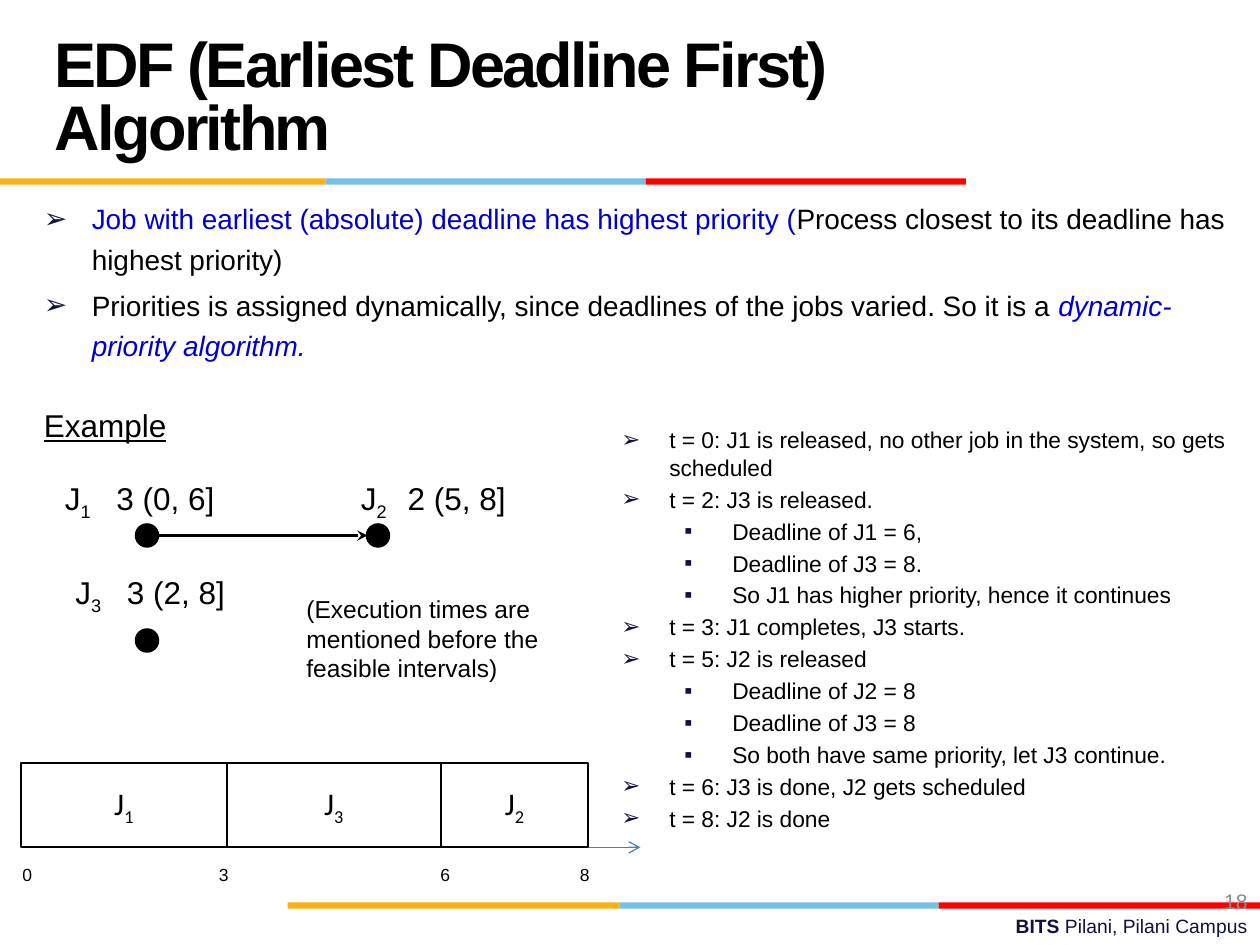
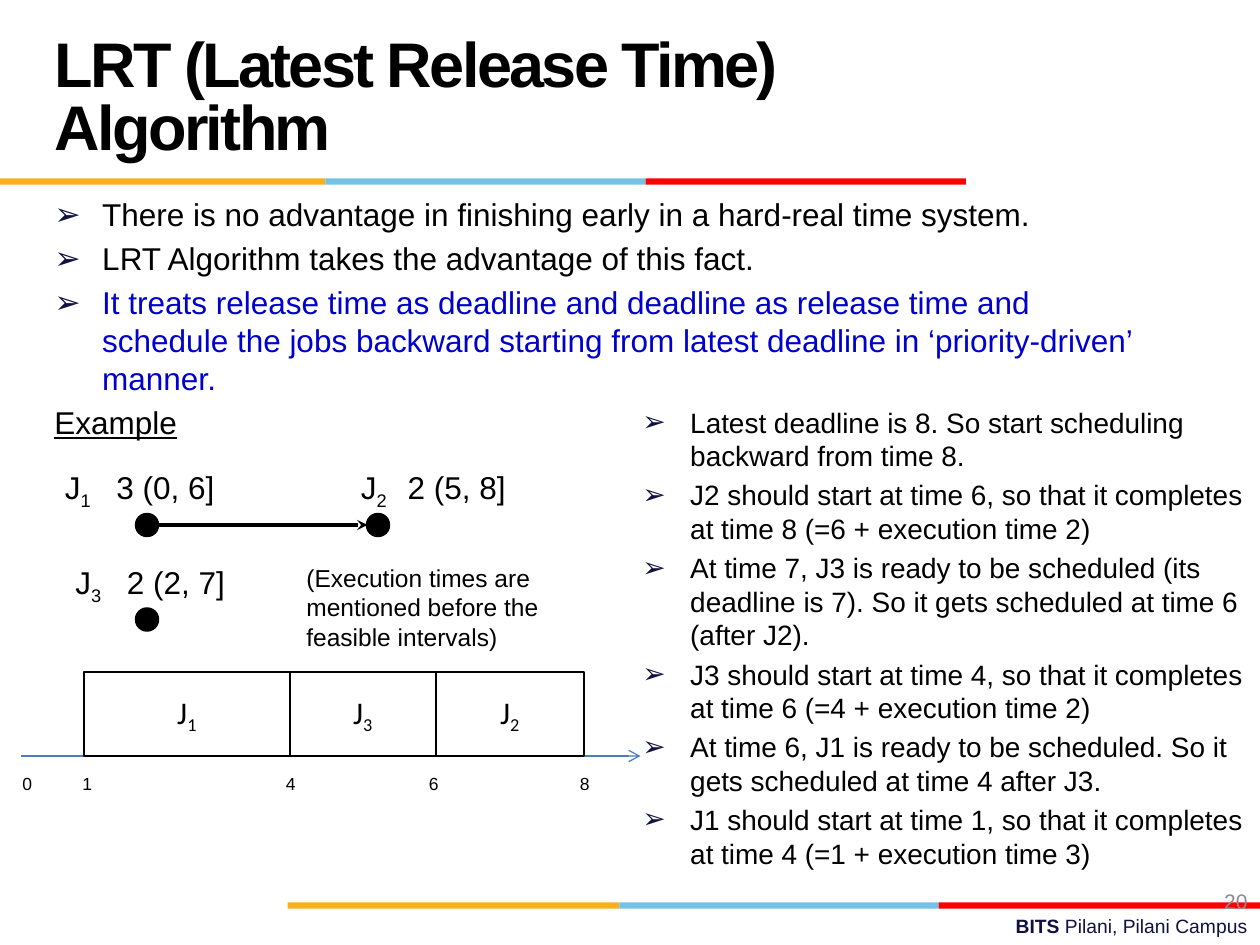
from lxml import etree
from pptx import Presentation
from pptx import util as u
from pptx.dml.color import RGBColor
from pptx.enum import shapes, text
from pptx.oxml.ns import qn


class Theme:
    black, blue, navy, grey = "000000", "0000CC", "101141", "8C8C8C"
    axis, bands = "4B7EBC", ("FCB017", "76C2E5", "FF0000")
    font, chart_font = "Arial", "Calibri"
    title, job, note, page, foot, mark = 36, 18, 14, 12, 11, 10


deck = Presentation()
deck.slide_width, deck.slide_height = u.Inches(10), u.Inches(7.5)
COL, ROW = deck.slide_width / 120, deck.slide_height / 90
HANG, STEP = u.Inches(0.38), u.Inches(0.5)
LEFT, MID, RIGHT = text.PP_ALIGN.LEFT, text.PP_ALIGN.CENTER, text.PP_ALIGN.RIGHT
OVAL, RECT = shapes.MSO_SHAPE.OVAL, shapes.MSO_SHAPE.RECTANGLE
SUB = {"sub": True}
BLUE = {"color": Theme.blue}


def write(shape, paras, size, color=Theme.black, font=Theme.font, align=LEFT,
          middle=False, wrap=True, lead=None, gap=0, tab=None, track=None):
    frame = shape.text_frame
    frame.word_wrap = wrap
    frame.auto_size = text.MSO_AUTO_SIZE.NONE
    frame.vertical_anchor = text.MSO_ANCHOR.MIDDLE if middle else text.MSO_ANCHOR.TOP
    for i, (level, runs, *extra) in enumerate(paras):
        para = frame.paragraphs[0] if i == 0 else frame.add_paragraph()
        para.alignment = align
        para.space_before = u.Pt(extra[0] if extra else gap * size if i else 0)
        if lead and level != "plain":
            para.line_spacing = lead
        props = para._p.get_or_add_pPr()
        if level in (0, 1):
            props.set("marL", str(HANG + level * STEP))
            props.set("indent", str(-HANG))
            tint = etree.SubElement(props, qn("a:buClr"))
            etree.SubElement(tint, qn("a:srgbClr"), val=Theme.navy)
            etree.SubElement(props, qn("a:buFont"), typeface=Theme.font)
            etree.SubElement(props, qn("a:buChar"), char="➢▪"[level])
        if tab:
            tabs = etree.SubElement(props, qn("a:tabLst"))
            etree.SubElement(tabs, qn("a:tab"), pos=str(u.Inches(tab)), algn="l")
        for words, look in [(runs, {})] if isinstance(runs, str) else runs:
            run = para.add_run()
            run.text = words
            run.font.name = font
            run.font.size = u.Pt(look.get("size", size))
            run.font.color.rgb = RGBColor.from_string(look.get("color", color))
            run.font.bold = look.get("bold", False)
            run.font.italic = look.get("italic", False)
            run.font.underline = look.get("under", False)
            if look.get("sub"):
                run._r.get_or_add_rPr().set("baseline", "-25000")
            if track:
                run._r.get_or_add_rPr().set("spc", str(track))


def put(slide, x, y, w, h, kind=None, fill=None, line=None, width=1):
    box = [round(n) for n in (x * COL, y * ROW, w * COL, h * ROW)]
    if kind is None:
        return slide.shapes.add_textbox(*box)
    shape = slide.shapes.add_shape(kind, *box)
    shape.shadow.inherit = False
    if fill:
        shape.fill.solid()
        shape.fill.fore_color.rgb = RGBColor.from_string(fill)
    else:
        shape.fill.background()
    if line:
        shape.line.color.rgb = RGBColor.from_string(line)
        shape.line.width = u.Pt(width)
    else:
        shape.line.fill.background()
    return shape


pages = [
    dict(
        title="EDF (Earliest Deadline First) Algorithm", page="18",
        body=(3, 18, 117, 22), size=16, lead=1.2,
        points=[
            (0, [("Job with earliest (absolute) deadline has highest priority (", BLUE),
                 ("Process closest to its deadline has highest priority)", {})]),
            (0, [("Priorities is assigned dynamically, since deadlines of the jobs varied. "
                  "So it is a ", {}),
                 ("dynamic-priority algorithm.", {"color": Theme.blue, "italic": True})]),
            ("plain", [("Example", {"size": 18, "under": True})], 25)],
        link=51, dot=60, jobs=(45, 54), third="3 (2, 8]", hint=56,
        chart=72.7, edges=(2, 21.6, 42, 56),
        marks=[("0", 2.6), ("3", 21.3), ("6", 42.4), ("8", 55.7)],
        steps=(58, 40, 62, 44), small=13,
        trace=[
            (0, "t = 0: J1 is released, no other job in the system, so gets scheduled"),
            (0, "t = 2: J3 is released."),
            (1, "Deadline of J1 = 6,"),
            (1, "Deadline of J3 = 8."),
            (1, "So J1 has higher priority, hence it continues"),
            (0, "t = 3: J1 completes, J3 starts."),
            (0, "t = 5: J2 is released"),
            (1, "Deadline of J2 = 8"),
            (1, "Deadline of J3 = 8"),
            (1, "So both have same priority, let J3 continue."),
            (0, "t = 6: J3 is done, J2 gets scheduled"),
            (0, "t = 8: J2 is done")]),
    dict(
        title="LRT (Latest Release Time) Algorithm", page="20",
        body=(4, 18, 108, 22), size=18, lead=None,
        points=[
            (0, "There is no advantage in finishing early in a hard-real time system."),
            (0, "LRT Algorithm takes the advantage of this fact."),
            (0, [("It treats release time as deadline and deadline as release time and "
                  "schedule the jobs backward starting from latest deadline in "
                  "‘priority-driven’ manner.", BLUE)]),
            ("plain", [("Example", {"under": True})])],
        link=50, dot=58, jobs=(44, 53), third="2 (2, 7]", hint=53,
        chart=64, edges=(8, 27.6, 41.5, 55.6),
        marks=[("0", 2.6), ("1", 8.3), ("4", 27.7), ("6", 41.3), ("8", 55.7)],
        steps=(60, 38, 60, 44), small=16,
        trace=[
            (0, "Latest deadline is 8. So start scheduling backward from time 8."),
            (0, "J2 should start at time 6, so that it completes at time 8 "
                "(=6 + execution time 2)"),
            (0, "At time 7, J3 is ready to be scheduled (its deadline is 7). "
                "So it gets scheduled at time 6 (after J2)."),
            (0, "J3 should start at time 4, so that it completes at time 6 "
                "(=4 + execution time 2)"),
            (0, "At time 6, J1 is ready to be scheduled. So it gets scheduled at time 4 "
                "after J3."),
            (0, "J1 should start at time 1, so that it completes at time 4 "
                "(=1 + execution time 3)")]),
]

for page in pages:
    slide = deck.slides.add_slide(deck.slide_layouts[5])

    for y, stops in ((17, (0, 31, 61.5, 92)), (85.95, (27.4, 59, 89.4, 120))):
        for tint, start, end in zip(Theme.bands, stops, stops[1:]):
            put(slide, start, y, end - start, 0.6, RECT, tint)
    write(put(slide, 43, 86.5, 77, 3.5),
          [(None, [("BITS ", {"bold": True}), ("Pilani, Pilani Campus", {})])],
          Theme.foot, Theme.navy, align=RIGHT)
    write(put(slide, 92, 83.4, 28, 4.8), [(None, page["page"])],
          Theme.page, Theme.grey, align=RIGHT, middle=True)

    title = slide.shapes.title
    title.left, title.top = round(4 * COL), round(2 * ROW)
    title.width, title.height = round(83 * COL), round(15 * ROW)
    write(title, [(None, [(page["title"], {"bold": True})])], Theme.title,
          middle=True, lead=u.Pt(36), track=-150)

    write(put(slide, *page["body"]), page["points"], page["size"],
          lead=page["lead"], gap=0.2)
    write(put(slide, *page["steps"]), page["trace"], page["small"], gap=0.2)

    link, floor = page["link"], page["chart"] + 8
    for x, end, y, tint, width, tips in (
            (14, 35, link, Theme.black, 2, {"headEnd": "oval", "tailEnd": "stealth"}),
            (2, 61, floor, Theme.axis, 0.75, {"tailEnd": "arrow"})):
        arrow = slide.shapes.add_connector(
            shapes.MSO_CONNECTOR.STRAIGHT, round(x * COL), round(y * ROW),
            round(end * COL), round(y * ROW))
        arrow.line.color.rgb = RGBColor.from_string(tint)
        arrow.line.width = u.Pt(width)
        for tip, kind in tips.items():
            etree.SubElement(arrow.line._get_or_add_ln(), qn(f"a:{tip}"), type=kind)
        etree.SubElement(arrow._element.spPr, qn("a:effectLst"))

    for x, y in ((35, link - 1), (13, link - 1), (13, page["dot"])):
        put(slide, x, y, 2, 2, OVAL, Theme.black, Theme.black, 2)

    upper, lower = page["jobs"]
    for num, x, y, span, tab in (("1", 5, upper, "3 (0, 6]", 0.41),
                                 ("2", 33.2, upper, "2 (5, 8]", 0.37),
                                 ("3", 6, lower, page["third"], 0.41)):
        write(put(slide, x, y, 18, 4.8),
              [(None, [("J", {}), (num, SUB), ("\t" + span, {})])], Theme.job, tab=tab)

    write(put(slide, 28, page["hint"], 25.2, 9.7),
          [(None, "(Execution times are"), (None, "mentioned before the"),
           (None, "feasible intervals)")], Theme.note, wrap=False)

    edges = page["edges"]
    for num, start, end in zip("132", edges, edges[1:]):
        bar = put(slide, start, page["chart"], end - start, 8, RECT, line=Theme.black)
        write(bar, [(None, [("J", {}), (num, SUB)])], Theme.job,
              font=Theme.chart_font, align=MID, middle=True)
    for mark, x in page["marks"]:
        write(put(slide, x - 1.7, floor + 1, 3.4, 3.2), [(None, mark)],
              Theme.mark, align=MID, wrap=False)

deck.save("out.pptx")
